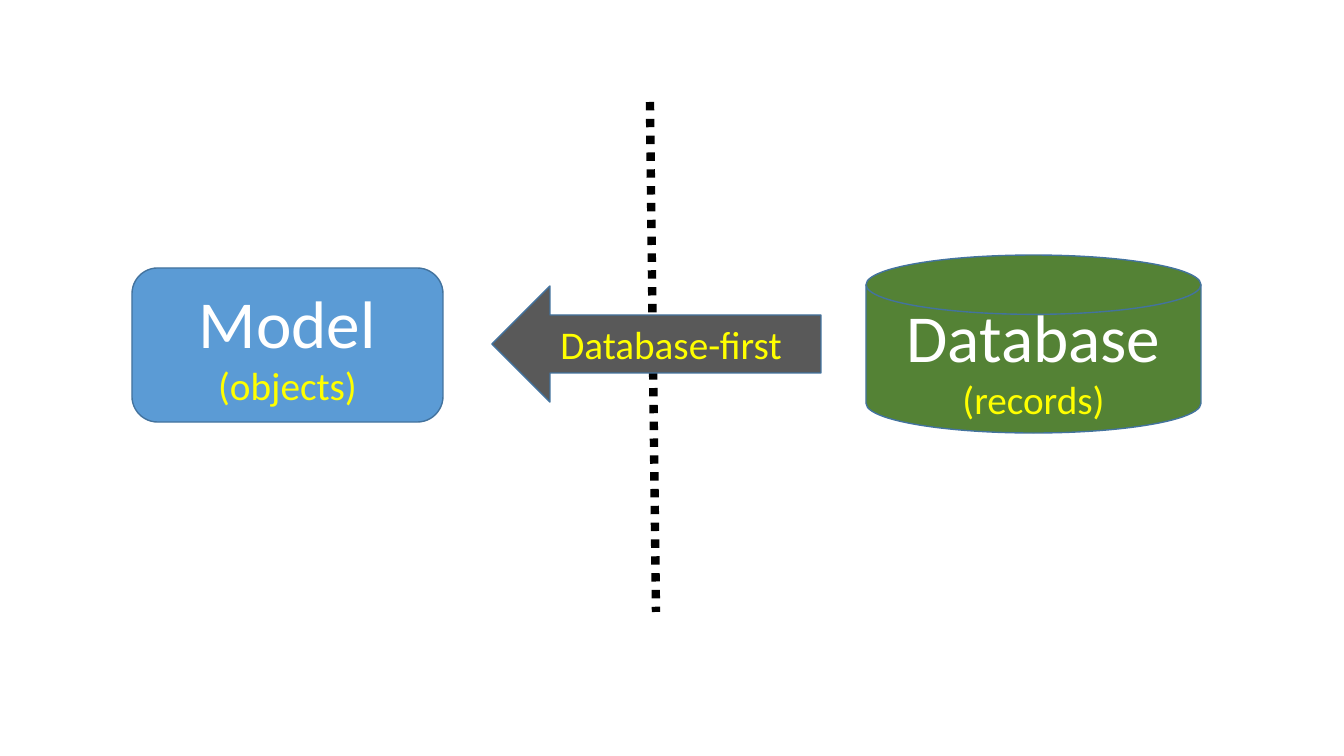
from dataclasses import dataclass

from lxml import etree
from pptx import Presentation
from pptx.dml.color import RGBColor
from pptx.enum import dml, shapes, text
from pptx.oxml import ns
from pptx.util import Emu, Pt

SCALE = 914400 / 100.8
FONT = "Calibri"
HUES = {
    "green": "548235", "blue": "5B9BD5", "gray": "595959", "edge": "43739E",
    "white": "FFFFFF", "yellow": "FFFF00", "black": "000000",
}
BIG = {"size": Pt(48), "name": FONT}
SMALL = {"size": Pt(28), "name": FONT}
FRAME = {"word_wrap": True, "vertical_anchor": text.MSO_ANCHOR.MIDDLE}
KIND = shapes.MSO_SHAPE


@dataclass
class Block:
    """A filled shape with an optional heading and a small label."""
    kind: KIND
    box: tuple[int, int, int, int]
    fill: str
    label: str
    head: str = ""


DISK = Block(KIND.FLOWCHART_MAGNETIC_DISK, (866, 255, 335, 178),
             "green", "(records)", "Database")
MODEL = Block(KIND.ROUNDED_RECTANGLE, (132, 268, 311, 154),
              "blue", "(objects)", "Model")
ARROW = Block(KIND.LEFT_ARROW, (492, 286, 329, 116), "gray", "Database-first")


def px(num: int) -> Emu:
    """Turn pixels into EMU."""
    return Emu(round(num * SCALE))


def hue(name: str) -> RGBColor:
    """Look up a colour by name."""
    return RGBColor.from_string(HUES[name])


def style(item: object, form: dict) -> None:
    """Set each format value on an item."""
    for key, value in form.items():
        setattr(item, key, value)


def draw(slide, block: Block) -> None:
    """Draw a block with its centred text."""
    shape = slide.shapes.add_shape(block.kind, *map(px, block.box))
    shape.shadow.inherit = False
    shape.fill.solid()
    shape.fill.fore_color.rgb = hue(block.fill)
    shape.line.color.rgb = hue("edge")
    shape.line.width = Pt(1)
    frame = shape.text_frame
    style(frame, FRAME)
    rows = [(block.head, BIG, "white"), (block.label, SMALL, "yellow")]
    rows = [row for row in rows if row[0]]
    for pos, (words, form, tint) in enumerate(rows):
        para = frame.add_paragraph() if pos else frame.paragraphs[0]
        para.alignment = text.PP_ALIGN.CENTER
        run = para.add_run()
        run.text = words
        style(run.font, form)
        run.font.color.rgb = hue(tint)


def divide(slide, ends: tuple[int, int, int, int]) -> None:
    """Draw the dotted line between the two sides."""
    rule = slide.shapes.add_connector(
        shapes.MSO_CONNECTOR.STRAIGHT, *map(px, ends))
    rule.line.color.rgb = hue("black")
    style(rule.line, {"width": Pt(6),
                      "dash_style": dml.MSO_LINE.ROUND_DOT})
    etree.SubElement(rule._element.spPr, ns.qn("a:effectLst"))


def main() -> None:
    """Build the slide and save it."""
    deck = Presentation()
    style(deck, {"slide_width": px(1344), "slide_height": px(756)})
    slide = deck.slides.add_slide(deck.slide_layouts[6])
    draw(slide, DISK)
    draw(slide, MODEL)
    divide(slide, (650, 102, 656, 612))
    draw(slide, ARROW)
    deck.save("out.pptx")


main()
